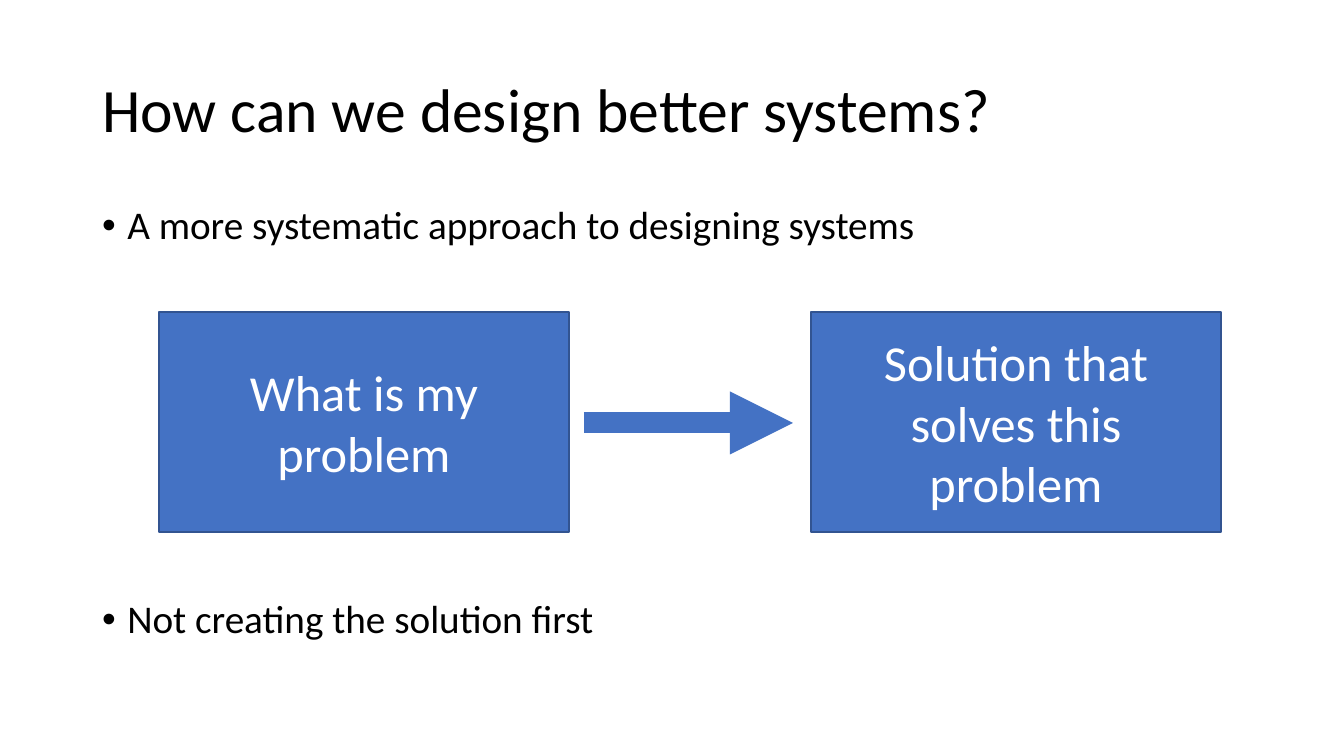
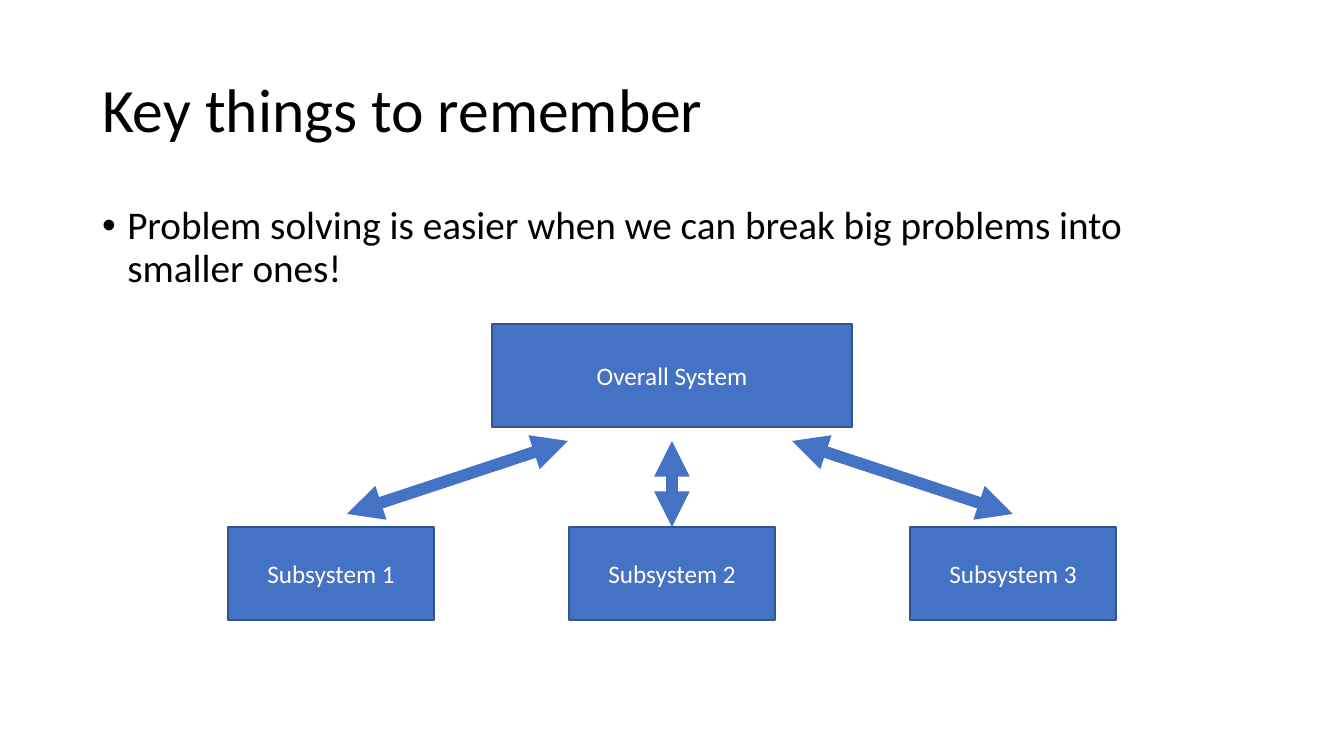
from collections import namedtuple

from lxml.etree import SubElement
from pptx import Presentation
from pptx.dml.color import RGBColor
from pptx.enum.shapes import MSO_CONNECTOR, MSO_SHAPE
from pptx.enum.text import MSO_ANCHOR, MSO_AUTO_SIZE, PP_ALIGN
from pptx.oxml.ns import qn
from pptx.util import Pt

EMU_PER_PX = 914400 / 100.8
FONT = "Calibri"
COLORS = {"text": "000000", "fill": "4472C4", "outline": "325491", "label": "FFFFFF"}

Box = namedtuple("Box", "left top width height")
SLIDE = Box(0, 0, 1344, 756)
TITLE = Box(92, 40, 1159, 146)
BODY = Box(92, 201, 1159, 480)


def px(length):
    return round(length * EMU_PER_PX)


def color(name):
    return RGBColor.from_string(COLORS[name])


def place(shape, box):
    shape.left, shape.top, shape.width, shape.height = map(px, box)


def write(para, text, size, color_name="text", align=PP_ALIGN.LEFT,
          line_spacing=None, space_before=0):
    para.alignment = align
    para.space_before = Pt(space_before)
    if line_spacing:
        para.line_spacing = line_spacing
    span = para.add_run()
    span.text = text
    span.font.name = FONT
    span.font.size = Pt(size)
    span.font.color.rgb = color(color_name)


def add_bullet(para):
    properties = para._p.get_or_add_pPr()
    properties.set("marL", "228600")
    properties.set("indent", "-228600")
    SubElement(properties, qn("a:buFont")).set("typeface", "Arial")
    SubElement(properties, qn("a:buChar")).set("char", "•")


def add_page(deck, title, bullets):
    """Add a titled page; bullets are pairs of text and space before in points."""
    page = deck.slides.add_slide(deck.slide_layouts[1])
    heading, body = page.shapes.title, page.placeholders[1]
    for holder, box, anchor in ((heading, TITLE, MSO_ANCHOR.MIDDLE),
                                (body, BODY, MSO_ANCHOR.TOP)):
        place(holder, box)
        holder.text_frame.word_wrap = True
        holder.text_frame.auto_size = MSO_AUTO_SIZE.NONE
        holder.text_frame.vertical_anchor = anchor
    write(heading.text_frame.paragraphs[0], title, 44, line_spacing=0.9)
    frame = body.text_frame
    for index, (text, gap) in enumerate(bullets):
        para = frame.add_paragraph() if index else frame.paragraphs[0]
        write(para, text, 28, line_spacing=0.9, space_before=gap)
        add_bullet(para)
    return page


def add_block(page, box, text, size):
    block = page.shapes.add_shape(MSO_SHAPE.RECTANGLE, *map(px, box))
    block.shadow.inherit = False
    block.fill.solid()
    block.fill.fore_color.rgb = color("fill")
    block.line.color.rgb = color("outline")
    block.line.width = Pt(1)
    block.text_frame.word_wrap = True
    block.text_frame.vertical_anchor = MSO_ANCHOR.MIDDLE
    write(block.text_frame.paragraphs[0], text, size, "label", PP_ALIGN.CENTER)
    return block


def add_arrow(page, start, end, width, both_ends=False):
    arrow = page.shapes.add_connector(MSO_CONNECTOR.STRAIGHT, *map(px, start + end))
    arrow.line.color.rgb = color("fill")
    arrow.line.width = Pt(width)
    line = arrow.line._get_or_add_ln()
    for tag in ("a:headEnd", "a:tailEnd") if both_ends else ("a:tailEnd",):
        SubElement(line, qn(tag)).set("type", "triangle")
    SubElement(arrow._element.spPr, qn("a:effectLst"))
    return arrow


def draw_problem_to_solution(page, area):
    block_width = 410
    right = area.left + area.width - block_width
    for left, text in ((area.left, "What is my problem"),
                       (right, "Solution that solves this problem")):
        add_block(page, Box(left, area.top, block_width, area.height), text, 36)
    middle = area.top + area.height // 2 + 1
    add_arrow(page, (area.left + block_width + 15, middle), (right - 18, middle), 15)


def draw_system_tree(page, area):
    center = area.left + area.width // 2
    system_width, system_height = 360, 103
    part_width, part_height = 206, 93
    add_block(page, Box(center - system_width // 2, area.top,
                        system_width, system_height), "Overall System", 18)

    parts_top = area.top + area.height - part_height
    step = (area.width - part_width) // 2
    parts = [add_block(page, Box(area.left + index * step, parts_top,
                                 part_width, part_height),
                       f"Subsystem {index + 1}", 18)
             for index in range(3)]

    arrows_top = area.top + system_height + 14
    middle_arrow = add_arrow(page, (center, arrows_top), (center, parts_top),
                             8.5, both_ends=True)
    middle_arrow.end_connect(parts[1], 0)
    axis = center + 8
    for side in (-1, 1):
        add_arrow(page, (axis + side * 112, arrows_top),
                  (axis + side * 333, parts_top - 13), 8.5, both_ends=True)


def main():
    deck = Presentation()
    deck.slide_width, deck.slide_height = px(SLIDE.width), px(SLIDE.height)

    page = add_page(deck, "How can we design better systems?", [
        ("A more systematic approach to designing systems", 10),
        ("Not creating the solution first", 251),
    ])
    draw_problem_to_solution(page, Box(159, 312, 1062, 220))

    page = add_page(deck, "Key things to remember", [
        ("Problem solving is easier when we can break big problems into smaller ones!", 10),
    ])
    draw_system_tree(page, Box(228, 324, 888, 296))

    deck.save("out.pptx")


if __name__ == "__main__":
    main()
